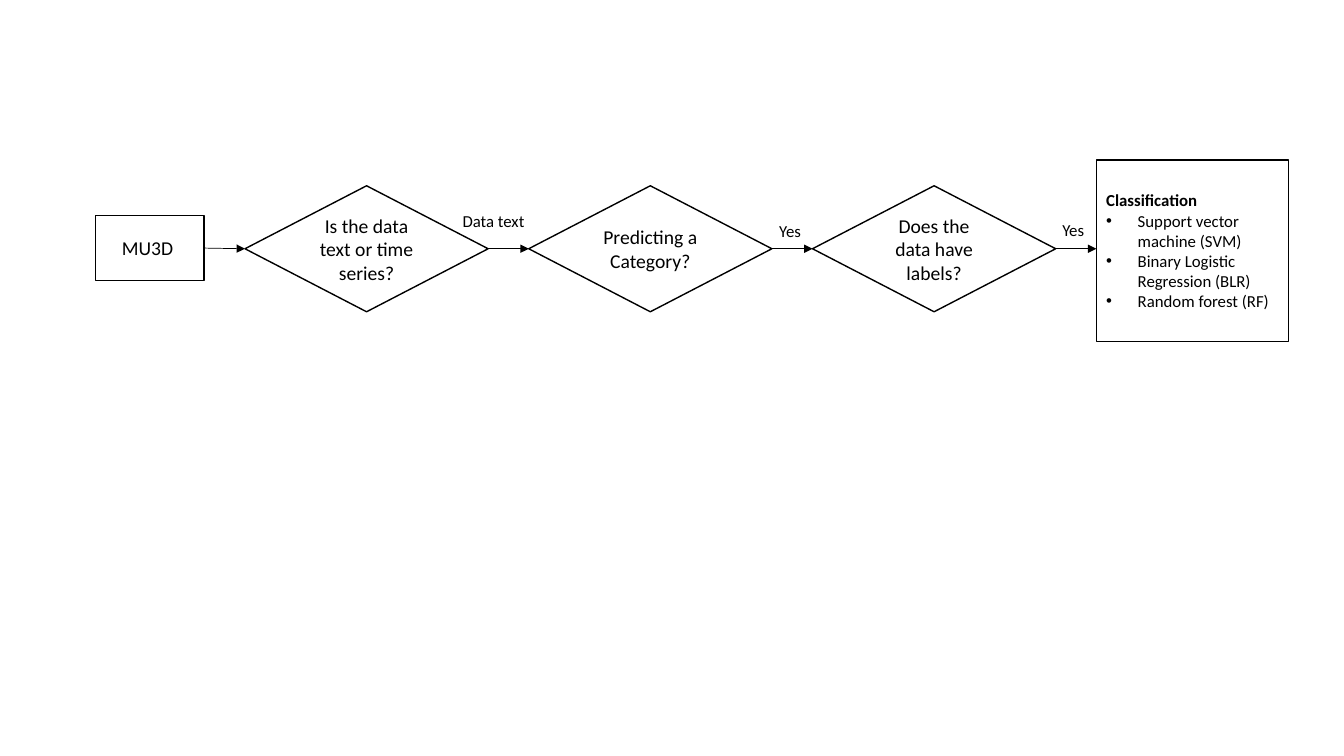
from lxml.etree import SubElement
from pptx import Presentation
from pptx.dml.color import RGBColor
from pptx.enum.shapes import MSO_CONNECTOR as Connector, MSO_SHAPE as Preset
from pptx.enum.text import MSO_ANCHOR as Anchor, MSO_AUTO_SIZE as AutoSize, PP_ALIGN as Align
from pptx.oxml.ns import qn
from pptx.util import Pt

COLORS = {"ink": "000000", "paper": "FFFFFF"}


class Flowchart:
    font = "Calibri"
    node_size = 14
    small_size = 12
    indent = 22.5

    def __init__(self, slide):
        self.slide = slide

    def color(self, name):
        return RGBColor.from_string(COLORS[name])

    def add_text(self, paragraph, text, size, bold=False):
        run = paragraph.add_run()
        run.text = text
        run.font.name = self.font
        run.font.size = Pt(size)
        run.font.bold = bold
        run.font.color.rgb = self.color("ink")

    def box(self, preset, left, top, width, height):
        shape = self.slide.shapes.add_shape(preset, Pt(left), Pt(top), Pt(width), Pt(height))
        shape.shadow.inherit = False
        shape.fill.solid()
        shape.fill.fore_color.rgb = self.color("paper")
        shape.line.color.rgb = self.color("ink")
        shape.line.width = Pt(1)
        shape.text_frame.word_wrap = True
        shape.text_frame.vertical_anchor = Anchor.MIDDLE
        return shape.text_frame

    def node(self, preset, text, left, top, width, height):
        paragraph = self.box(preset, left, top, width, height).paragraphs[0]
        paragraph.alignment = Align.CENTER
        self.add_text(paragraph, text, self.node_size)

    def label(self, text, left, top):
        frame = self.slide.shapes.add_textbox(Pt(left), Pt(top), Pt(62), Pt(21.8)).text_frame
        frame.word_wrap = True
        frame.auto_size = AutoSize.SHAPE_TO_FIT_TEXT
        self.add_text(frame.paragraphs[0], text, self.small_size)

    def arrow(self, start_x, start_y, end_x, end_y):
        connector = self.slide.shapes.add_connector(
            Connector.STRAIGHT, Pt(start_x), Pt(start_y), Pt(end_x), Pt(end_y))
        connector.line.color.rgb = self.color("ink")
        connector.line.width = Pt(0.5)
        properties = connector._element.spPr
        SubElement(properties.find(qn("a:ln")), qn("a:tailEnd"), type="triangle")
        SubElement(properties, qn("a:effectLst"))

    def bullet_box(self, heading, items, left, top, width, height):
        frame = self.box(Preset.RECTANGLE, left, top, width, height)
        frame.paragraphs[0].alignment = Align.LEFT
        self.add_text(frame.paragraphs[0], heading, self.small_size, bold=True)
        for item in items:
            paragraph = frame.add_paragraph()
            paragraph.alignment = Align.LEFT
            properties = paragraph._p.get_or_add_pPr()
            properties.set("marL", str(Pt(self.indent)))
            properties.set("indent", str(-Pt(self.indent)))
            SubElement(properties, qn("a:buFont"), typeface="Arial")
            SubElement(properties, qn("a:buChar"), char="•")
            self.add_text(paragraph, item, self.small_size)


def main():
    presentation = Presentation()
    presentation.slide_width, presentation.slide_height = Pt(960), Pt(540)
    chart = Flowchart(presentation.slides.add_slide(presentation.slide_layouts[6]))

    middle = 177.7
    first_left, step = 175, 202.7
    diamond_width, diamond_height = 173.7, 90
    questions = [
        ("Is the data text or time series?", "Data text", 323.3, 146.9),
        ("Predicting a Category?", "Yes", 549.4, 154.4),
        ("Does the data have labels?", "Yes", 751.7, 153.7),
    ]

    chart.node(Preset.RECTANGLE, "MU3D ", 68.3, 154, 77.4, 46.4)
    chart.arrow(145.7, 177.2, first_left, middle)
    for index, (question, answer, answer_left, answer_top) in enumerate(questions):
        left = first_left + index * step
        chart.node(Preset.DIAMOND, question, left, middle - diamond_height / 2,
                   diamond_width, diamond_height)
        chart.arrow(left + diamond_width, middle, left + step, middle)
        chart.label(answer, answer_left, answer_top)
    chart.bullet_box(
        "Classification",
        ["Support vector machine (SVM)", "Binary Logistic Regression (BLR)", "Random forest (RF)"],
        first_left + len(questions) * step, 114.3, 137.3, 129.6)

    presentation.save("out.pptx")


if __name__ == "__main__":
    main()
